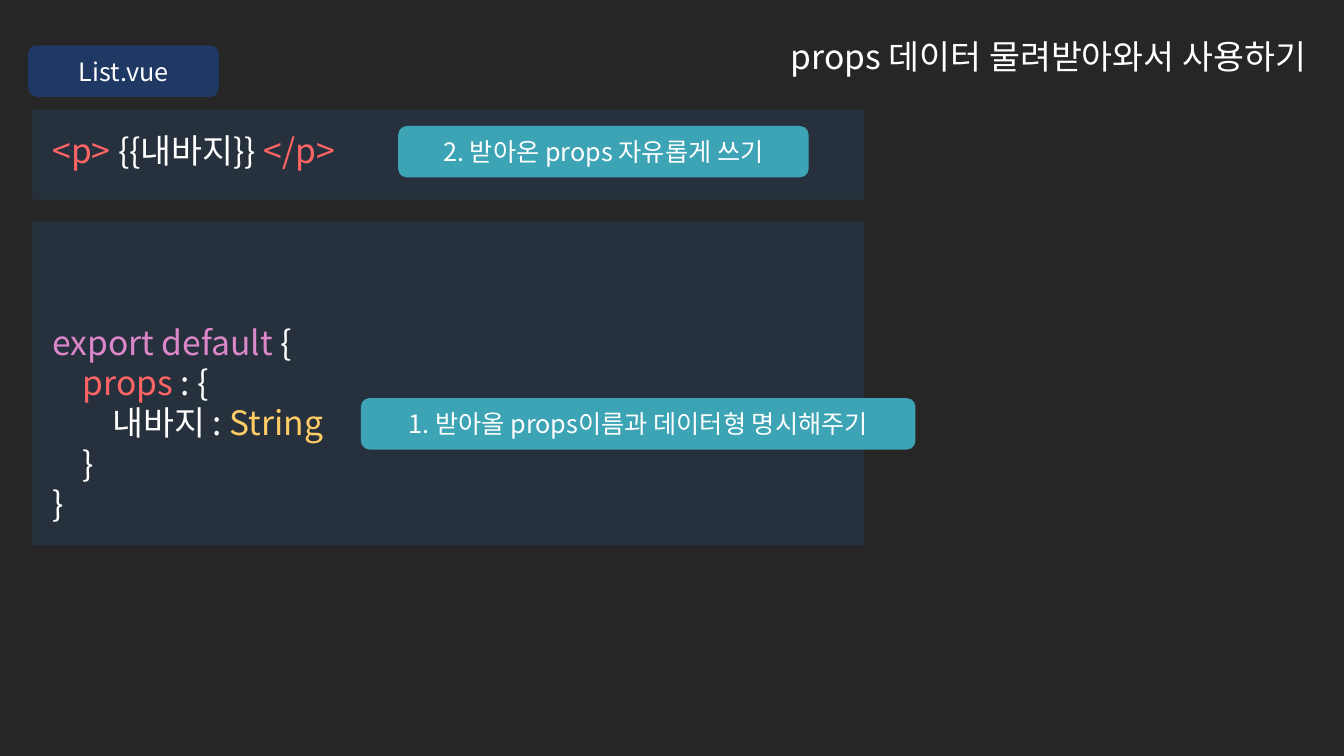
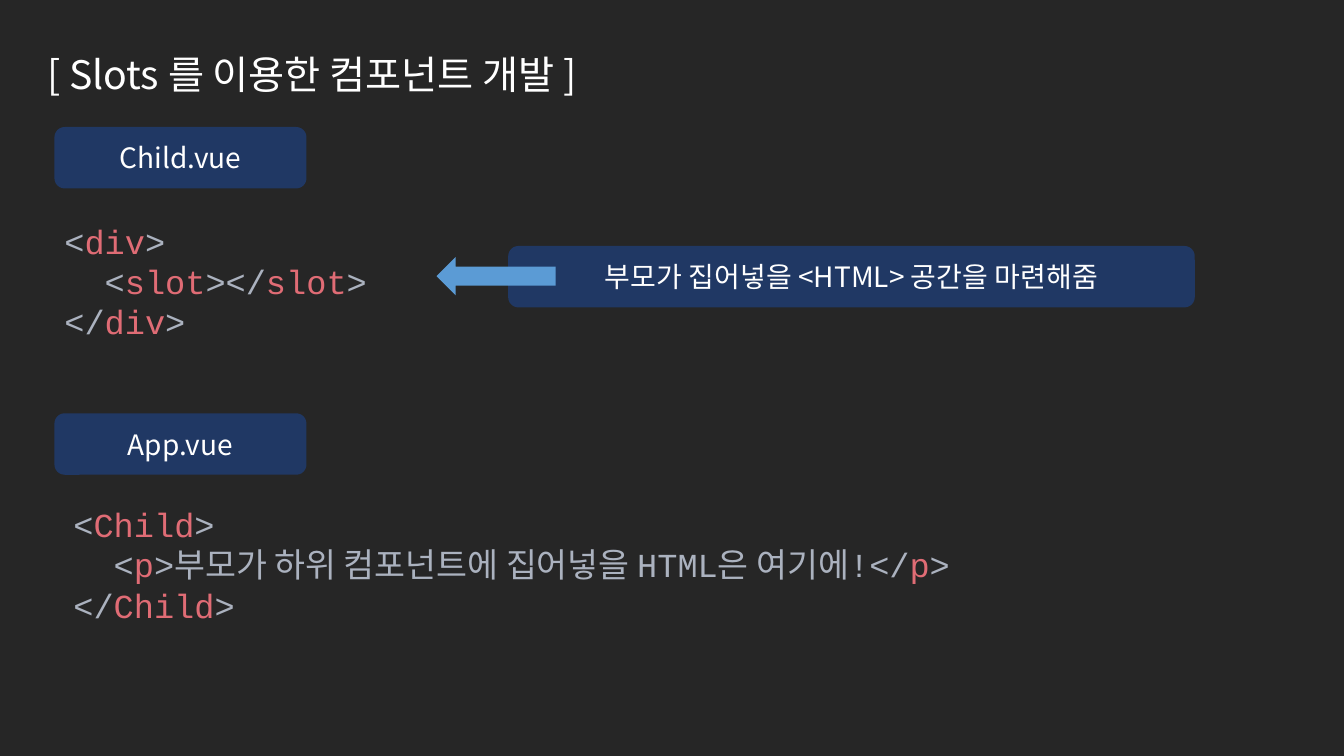
"""Build two dark slides on Vue props and slots."""
from dataclasses import dataclass

from pptx import Presentation
from pptx import util as u
from pptx.dml.color import RGBColor
from pptx.enum import shapes, text
from pptx.oxml import ns, xmlchemy
from lxml import etree

PX = 9144
SHAPE, ALIGN, ANCHOR = shapes.MSO_SHAPE, text.PP_ALIGN, text.MSO_ANCHOR


@dataclass(frozen=True)
class Theme:
    back: str = "262626"
    panel: str = "27303D"
    navy: str = "203864"
    teal: str = "3DA4B5"
    arrow: str = "5B9BD5"
    white: str = "FFFFFF"
    keyword: str = "DD87CB"
    red: str = "FF6565"
    type_name: str = "FFCC66"
    mark: str = "ABB2BF"
    tag: str = "E06C75"
    sans: str = "Noto Sans CJK KR"
    mono: str = "Courier New"
    code_size: int = 24


T = Theme()

PROPS = {
    "title": ("props 데이터 물려받아와서 사용하기", (413, 27, 892, 55), 24, ALIGN.RIGHT),
    "panels": [
        ((32, 109, 825, 89), 20, [
            [("<p> ", T.red), ("{{내바지}} ", T.white), ("</p>", T.red)],
        ]),
        ((32, 219, 825, 322), 100, [
            [("export default ", T.keyword), ("{", T.white)],
            [("    props", T.red), (" : {", T.white)],
            [("        내바지 : ", T.white), ("String", T.type_name)],
            [("    }", T.white)],
            [("}", T.white)],
        ]),
    ],
    "labels": [
        ("List.vue", (28, 45, 189, 51), T.navy),
        ("2. 받아온 props 자유롭게 쓰기", (395, 125, 407, 51), T.teal),
        ("1. 받아올 props이름과 데이터형 명시해주기", (358, 395, 550, 51), T.teal),
    ],
    "label_size": 18,
}

SLOTS = {
    "title": ("[ Slots 를 이용한 컴포넌트 개발 ]", (37, 40, 835, 59), 28, ALIGN.LEFT),
    "snippets": [
        ((54, 214, 846, 131), [
            [("<", T.mark), ("div", T.tag), (">", T.mark)],
            [("  <", T.mark), ("slot", T.tag), ("></", T.mark), ("slot", T.tag), (">", T.mark)],
            [("</", T.mark), ("div", T.tag), (">", T.mark)],
        ]),
        ((63, 495, 980, 131), [
            [("<", T.mark), ("Child", T.tag), (">", T.mark)],
            [("  <", T.mark), ("p", T.tag),
             (">부모가 하위 컴포넌트에 집어넣을 HTML은 여기에!</", T.mark),
             ("p", T.tag), (">", T.mark)],
            [("</", T.mark), ("Child", T.tag), (">", T.mark)],
        ]),
    ],
    "labels": [
        ("Child.vue", (54, 126, 250, 61), T.navy),
        ("App.vue", (54, 410, 250, 61), T.navy),
        ("부모가 집어넣을 <HTML> 공간을 마련해줌", (504, 244, 681, 61), T.navy),
    ],
    "label_size": 20,
    "arrow": (433, 255, 118, 38),
}


def emu(box):
    return [u.Emu(v * PX) for v in box]


def add_box(s, kind, box, fill):
    sp = s.shapes.add_shape(kind, *emu(box))
    sp.shadow.inherit = False
    sp.fill.solid()
    sp.fill.fore_color.rgb = RGBColor.from_string(fill)
    sp.line.fill.background()
    return sp


def write(tf, lines, size, font=T.sans, align=ALIGN.LEFT, anchor=ANCHOR.TOP, spacing=None):
    tf.word_wrap = True
    tf.vertical_anchor = anchor
    for i, line in enumerate(lines):
        p = tf.add_paragraph() if i else tf.paragraphs[0]
        p.alignment = align
        p.line_spacing = spacing
        p.font.size = u.Pt(size)
        p.font.name = font
        props = p._p.pPr.find(ns.qn("a:defRPr"))
        etree.SubElement(props, ns.qn("a:ea"), typeface=T.sans)
        for words, colour in line:
            r = p.add_run()
            r.text = words
            r.font.color.rgb = RGBColor.from_string(colour)


def add_slide(prs, content):
    s = prs.slides.add_slide(prs.slide_layouts[6])
    s.background.fill.solid()
    s.background.fill.fore_color.rgb = RGBColor.from_string(T.back)

    title, box, size, align = content["title"]
    tf = s.shapes.add_textbox(*emu(box)).text_frame
    write(tf, [[(title, T.white)]], size, align=align, spacing=1.1)

    for box, top, lines in content.get("panels", []):
        tf = add_box(s, SHAPE.RECTANGLE, box, T.panel).text_frame
        tf.margin_left, tf.margin_top, tf.margin_right, tf.margin_bottom = emu((20, top, 20, 20))
        write(tf, lines, T.code_size)

    for box, lines in content.get("snippets", []):
        write(s.shapes.add_textbox(*emu(box)).text_frame, lines, T.code_size, T.mono)

    for label, box, fill in content["labels"]:
        sp = add_box(s, SHAPE.ROUNDED_RECTANGLE, box, fill)
        write(sp.text_frame, [[(label, T.white)]], content["label_size"],
              align=ALIGN.CENTER, anchor=ANCHOR.MIDDLE)

    if "arrow" in content:
        add_box(s, SHAPE.LEFT_ARROW, content["arrow"], T.arrow)


def main():
    prs = Presentation()
    prs.slide_width, prs.slide_height = emu((1333, 750))
    for content in (PROPS, SLOTS):
        add_slide(prs, content)
    prs.save("out.pptx")


if __name__ == "__main__":
    main()
